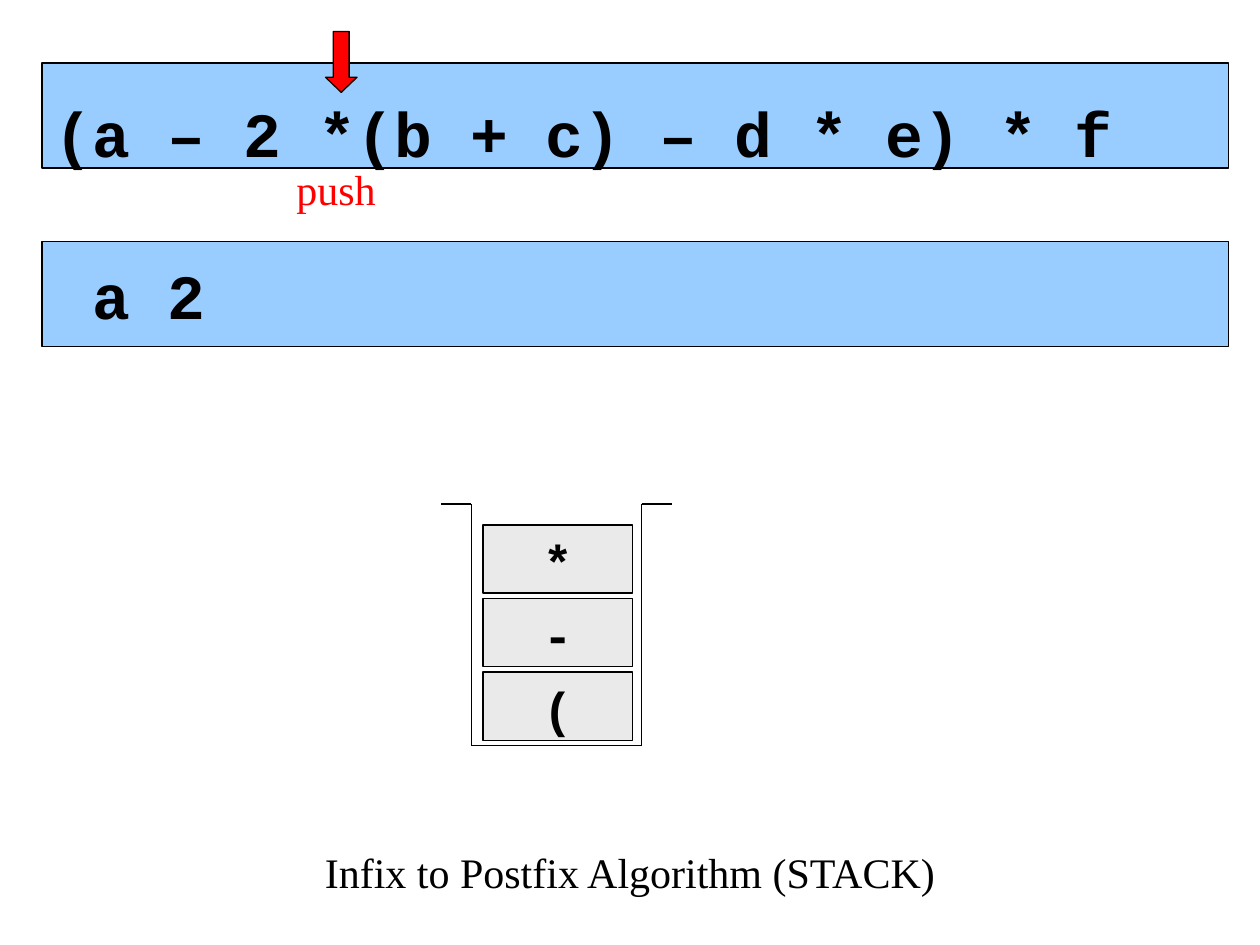
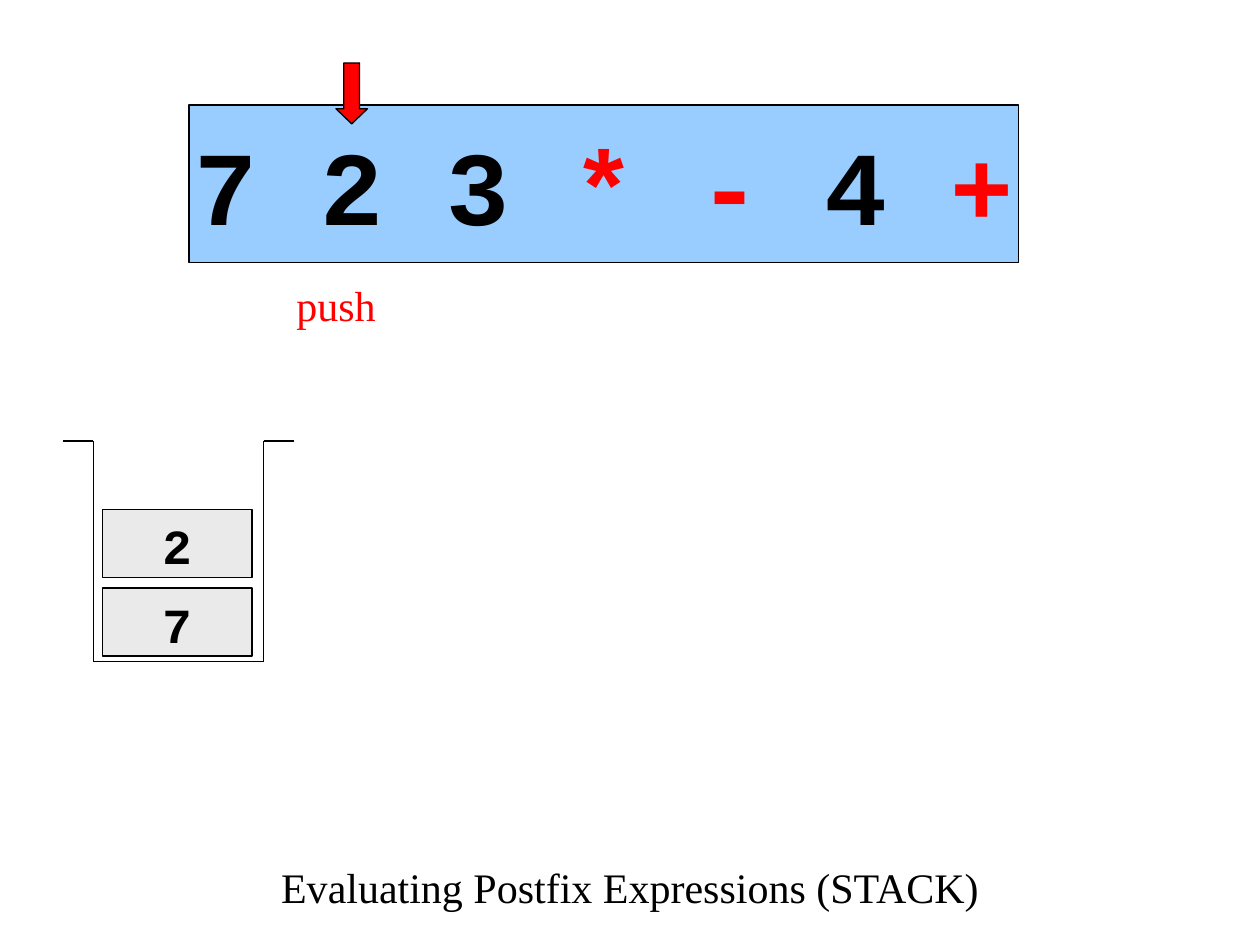
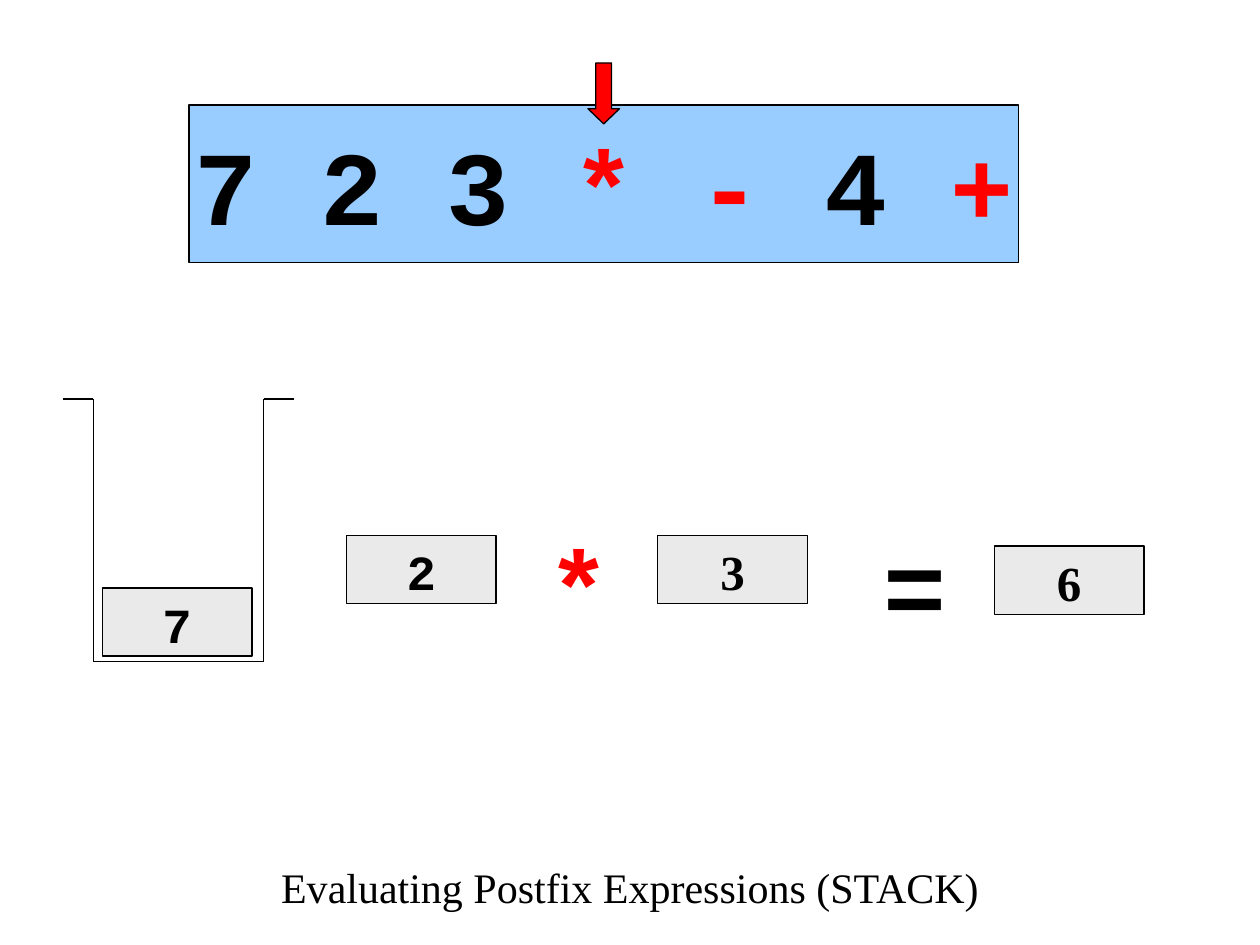
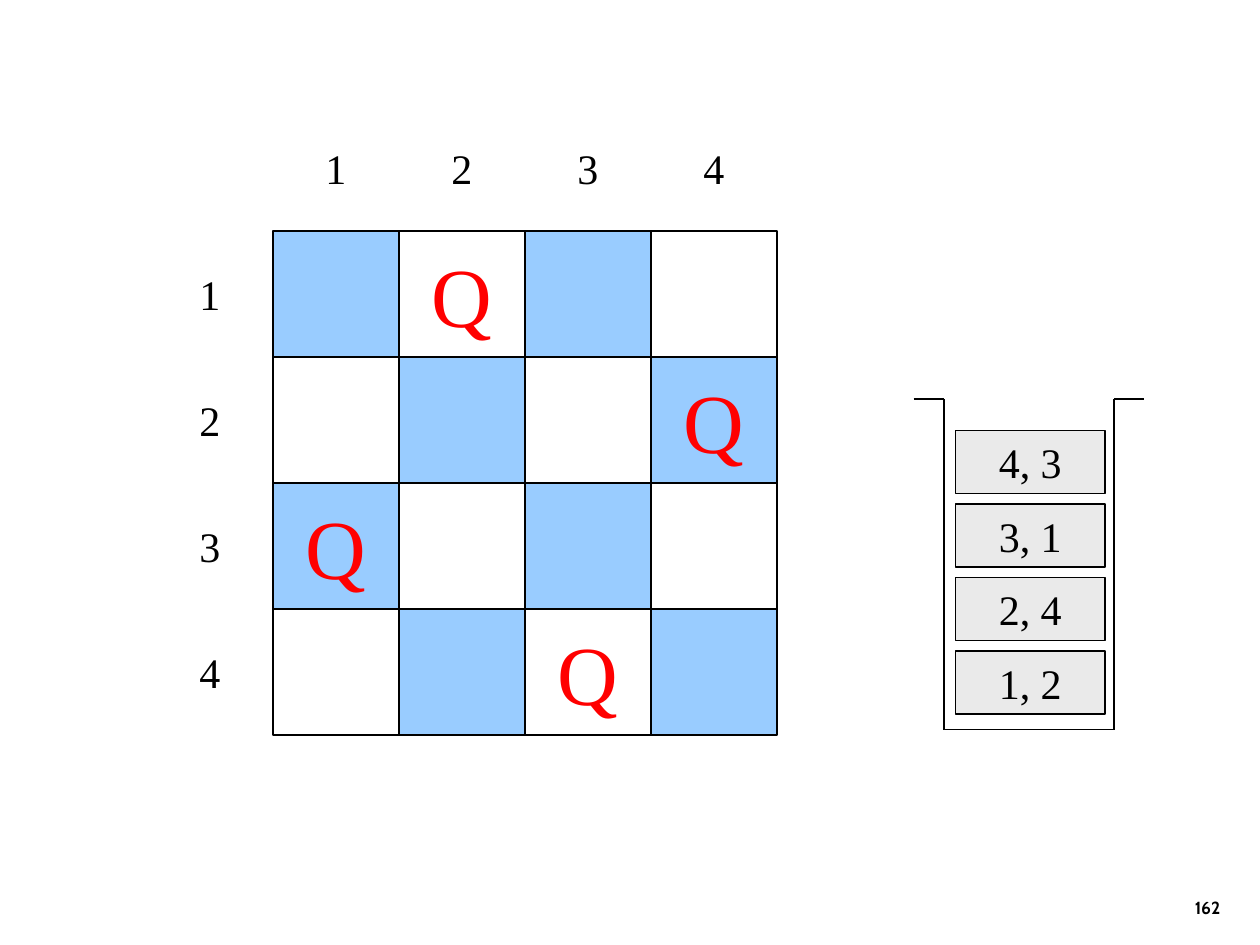
from lxml import etree
from pptx import Presentation
from pptx import util as u
from pptx.dml.color import RGBColor
from pptx.enum import shapes, text
from pptx.oxml.ns import qn

COLORS = {"band": "99CCFF", "cell": "EAEAEA", "accent": "FF0000",
          "ink": "000000", "paper": "FFFFFF"}
SERIF, MONO, PAGE_FONT = "Times New Roman", "Courier New", "Cabin"
LEFT, CENTER, RIGHT = text.PP_ALIGN.LEFT, text.PP_ALIGN.CENTER, text.PP_ALIGN.RIGHT
TOP, MIDDLE, BOTTOM = (text.MSO_ANCHOR.TOP, text.MSO_ANCHOR.MIDDLE,
                       text.MSO_ANCHOR.BOTTOM)
COLS, ROWS = 120, 90  # slide grid, twelve units to the inch
CELL_W, CELL_H = 14.25, 6.5
POSTFIX = [("7 2 3 ", "ink"), ("* -", "accent"), (" 4 ", "ink"), ("+", "accent")]
EVALUATION = "Evaluating Postfix Expressions (STACK)"


def grid(*units):
    return [u.Emu(round(n * u.Inches(1) / 12)) for n in units]


def rgb(name):
    return RGBColor.from_string(COLORS[name])


# Text
def write(holder, runs, size, font=SERIF, bold=False, align=CENTER,
          anchor=MIDDLE, wrap=False, insets=(1.2, 0.6)):
    """Fill a shape with one paragraph of (text, colour) runs."""
    frame = holder.text_frame
    frame.auto_size = text.MSO_AUTO_SIZE.NONE
    frame.word_wrap = wrap
    frame.vertical_anchor = anchor
    frame.margin_left, frame.margin_top = grid(*insets)
    frame.margin_right, frame.margin_bottom = grid(1.2, 0.6)
    paragraph = frame.paragraphs[0]
    paragraph.alignment = align
    for words, color in runs:
        run = paragraph.add_run()
        run.text = words
        run.font.size = u.Pt(size)
        run.font.name = font
        run.font.bold = bold
        run.font.color.rgb = rgb(color)


def label(slide, at, words, size, color="ink", **style):
    box = slide.shapes.add_textbox(*grid(*at))
    write(box, [(words, color)], size, **style)


def caption(slide, words, top, height):
    title = slide.shapes.title
    title.left, title.top, title.width, title.height = grid(0, top, COLS, height)
    title.fill.solid()
    title.fill.fore_color.rgb = rgb("paper")
    write(title, [(words, "ink")], 24)


# Shapes
def block(slide, at, fill=None, kind=shapes.MSO_SHAPE.RECTANGLE):
    shape = slide.shapes.add_shape(kind, *grid(*at))
    shape.shadow.inherit = False
    if fill:
        shape.fill.solid()
        shape.fill.fore_color.rgb = rgb(fill)
    else:
        shape.fill.background()
    shape.line.color.rgb = rgb("ink")
    shape.line.width = u.Pt(0.75)
    return shape


def pointer(slide, left, top):
    arrow = block(slide, (left, top, 3, 5.8), "accent", shapes.MSO_SHAPE.DOWN_ARROW)
    arrow.adjustments[0] = 0.5
    arrow.adjustments[1] = 0.48


def infix_band(slide, top, words, insets):
    band = block(slide, (4, top, 113, 10), "band")
    write(band, [(words, "ink")], 36, MONO, True, LEFT, wrap=True, insets=insets)


def postfix_band(slide, pointer_left):
    band = block(slide, (18, 10, 79, 15), "band")
    write(band, POSTFIX, 60, MONO, True)
    pointer(slide, pointer_left, 6)


def cell(slide, left, top, words, font=MONO, size=28, bold=True, height=CELL_H):
    entry = block(slide, (left, top, CELL_W, height), "cell")
    write(entry, [(words, "ink")], size, font, bold, anchor=TOP)


def pile(slide, left, bottom_top, pitch, entries, **style):
    """Stack entries upwards, the first one at the bottom."""
    for level, words in enumerate(entries):
        cell(slide, left, bottom_top - level * pitch, words, **style)


def container(slide, left, top, bottom):
    inner, outer = left + 2.9, left + 19.1
    corners = [(left, top), (inner, top), (inner, bottom),
               (outer, bottom), (outer, top), (left + 22, top)]
    for start, end in zip(corners, corners[1:]):
        wall = slide.shapes.add_connector(shapes.MSO_CONNECTOR.STRAIGHT,
                                          *grid(*start, *end))
        wall.line.color.rgb = rgb("ink")
        wall.line.width = u.Pt(0.75)
        etree.SubElement(wall._element.spPr, qn("a:effectLst"))


def board(slide, left, top, side, queens):
    """Chessboard with numbered rows and columns; queens[row] is a column."""
    for row, queen in enumerate(queens):
        for col in range(len(queens)):
            fill = None if (row + col) % 2 else "band"
            square = block(slide, (left + col * side, top + row * side, side, side),
                           fill)
            if col + 1 == queen:
                write(square, [("Q", "accent")], 48)
        number = str(row + 1)
        label(slide, (left - side, top + row * side, side, side), number, 24)
        label(slide, (left + row * side, top - side, side, side), number, 24)


# Slides
def infix_slide(slide):
    infix_band(slide, 6, "(a – 2 *(b + c) – d * e) * f", (1.2, 3.7))
    pointer(slide, 31, 3)
    label(slide, (27, 15, 10, 6), "push", 24, "accent", anchor=TOP)
    infix_band(slide, 23, "a 2", (4.8, 0.6))
    container(slide, 42, 48, 71)
    pile(slide, 46, 64, 7, "(-*")
    caption(slide, "Infix to Postfix Algorithm (STACK)", 76, 14)


def push_slide(slide):
    postfix_band(slide, 32)
    label(slide, (27, 26, 10, 6), "push", 24, "accent", anchor=TOP)
    container(slide, 6, 42, 63)
    pile(slide, 9.75, 56, 7.5, "72")
    caption(slide, EVALUATION, 79, 10.9)


def multiply_slide(slide):
    postfix_band(slide, 56)
    container(slide, 6, 38, 63)
    pile(slide, 9.75, 56, 7.5, "7")
    cell(slide, 33, 51, "2")
    cell(slide, 62.65, 51, "3", SERIF)
    cell(slide, 94.7, 52, "6", SERIF)
    for left, sign, color in [(51, "*", "accent"), (83, "=", "ink")]:
        label(slide, (left, 49, 9, 13.2), sign, 60, color, font=MONO,
              bold=True, align=LEFT, anchor=TOP, wrap=True)
    caption(slide, EVALUATION, 79, 10.9)


def queens_slide(slide):
    board(slide, 26, 22, 12, [2, 4, 1, 3])
    container(slide, 87, 38, 69.5)
    pile(slide, 91, 62, 7, ["1, 2", "2, 4", "3, 1", "4, 3"],
         font=SERIF, size=24, bold=False, height=6)
    label(slide, (92.4, 82, 25, 6), "162", 10, font=PAGE_FONT, bold=True,
          align=RIGHT, anchor=BOTTOM, wrap=True)


def main():
    deck = Presentation()
    deck.slide_width, deck.slide_height = grid(COLS, ROWS)
    title_only, blank = deck.slide_layouts[5], deck.slide_layouts[6]
    for build, layout in [(infix_slide, title_only), (push_slide, title_only),
                          (multiply_slide, title_only), (queens_slide, blank)]:
        build(deck.slides.add_slide(layout))
    deck.save("out.pptx")


if __name__ == "__main__":
    main()
